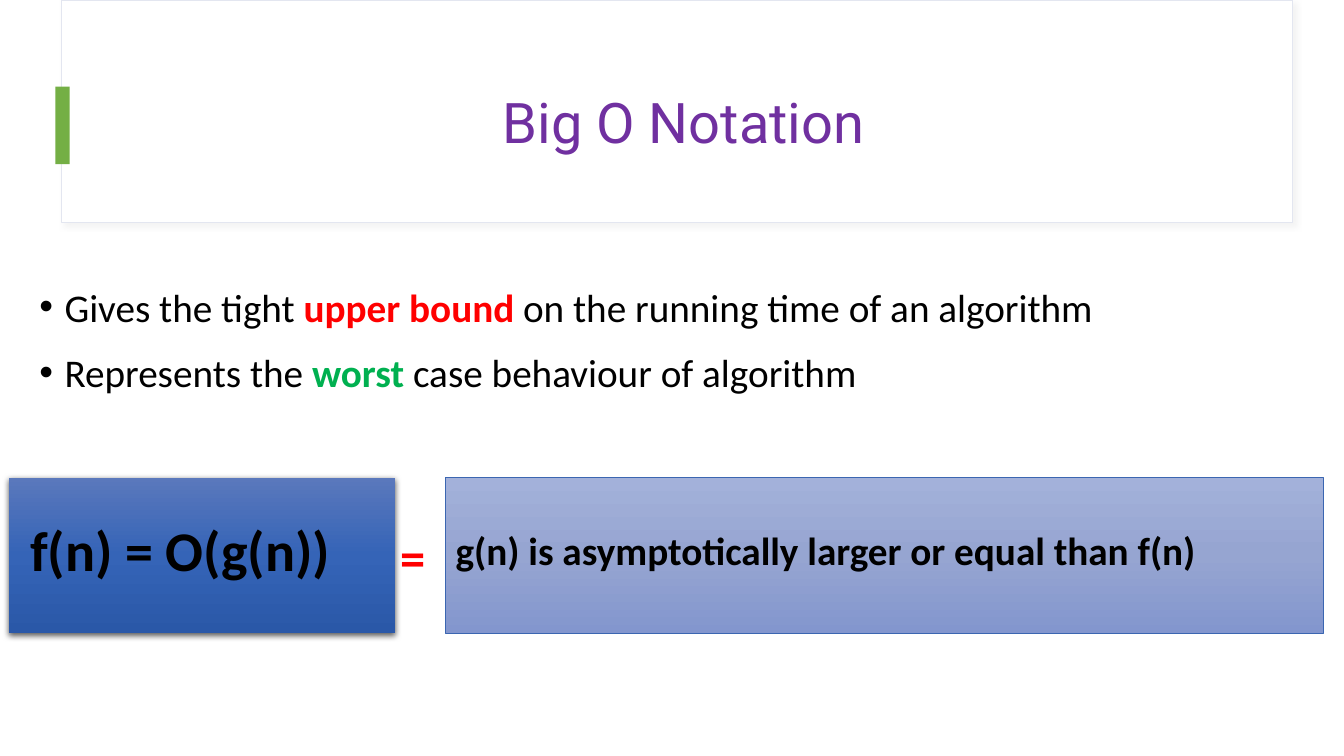
from dataclasses import dataclass

from lxml import etree
from pptx import Presentation
from pptx.dml.color import RGBColor
from pptx.enum.shapes import MSO_SHAPE
from pptx.enum.text import MSO_ANCHOR, MSO_AUTO_SIZE, PP_ALIGN
from pptx.oxml.ns import qn
from pptx.util import Inches, Pt

RECTANGLE = MSO_SHAPE.RECTANGLE
MIDDLE = MSO_ANCHOR.MIDDLE
NO_FIT = MSO_AUTO_SIZE.NONE
CENTER = PP_ALIGN.CENTER


@dataclass(frozen=True)
class Theme:
    heading_font: str = "Roboto"
    body_font: str = "Calibri"
    large: int = 40
    sign: int = 36
    body: int = 28
    white: str = "FFFFFF"
    black: str = "000000"
    purple: str = "7030A0"
    red: str = "FF0000"
    green: str = "00B050"
    accent: str = "74AF45"
    frame: str = "E3E6F0"
    frame_shadow: str = "D9D9D9"
    pale_edge: str = "3B66B1"
    pale_blues: tuple = ("A3B1DA", "96A5D1", "8396CE")
    deep_blues: tuple = ("5A78BC", "3564B7", "2A58A8")


THEME = Theme()


def set_font(font, name, size, color, bold=False):
    font.name = name
    font.size = Pt(size)
    font.bold = bold
    font.color.rgb = RGBColor.from_string(color)


def add_color(parent, color):
    return etree.SubElement(parent, qn("a:srgbClr"), val=color)


def add_panel(page, left, top, width, height, fill, edge=None, edge_width=0.75):
    panel = page.shapes.add_shape(
        RECTANGLE, Inches(left), Inches(top), Inches(width), Inches(height))
    panel.shadow.inherit = False
    if isinstance(fill, str):
        panel.fill.solid()
        panel.fill.fore_color.rgb = RGBColor.from_string(fill)
    else:
        panel.fill.gradient()
        panel.fill.gradient_angle = 270
        stops = panel.element.spPr.find(".//" + qn("a:gsLst"))
        for stop in list(stops):
            stops.remove(stop)
        for index, color in enumerate(fill):
            position = str(index * 100000 // (len(fill) - 1))
            add_color(etree.SubElement(stops, qn("a:gs"), pos=position), color)
    if edge:
        panel.line.color.rgb = RGBColor.from_string(edge)
        panel.line.width = Pt(edge_width)
    else:
        panel.line.fill.background()
    return panel


def add_shadow(panel, color, opacity, blur, distance, angle):
    effects = panel.element.spPr.find(qn("a:effectLst"))
    shadow = etree.SubElement(
        effects, qn("a:outerShdw"), blurRad=str(Pt(blur)), dist=str(Pt(distance)),
        dir=str(angle * 60000), algn="ctr", rotWithShape="0")
    etree.SubElement(add_color(shadow, color), qn("a:alpha"), val=str(opacity * 1000))


def place(box, left, top, width, height):
    box.left, box.top = Inches(left), Inches(top)
    box.width, box.height = Inches(width), Inches(height)


def add_label(page, left, top, width, height, text, size, color):
    box = page.shapes.add_textbox(
        Inches(left), Inches(top), Inches(width), Inches(height))
    box.text_frame.word_wrap = True
    para = box.text_frame.paragraphs[0]
    para.text = text
    set_font(para.font, THEME.body_font, size, color, True)


def build_header(page, left, top, width, height):
    frame = add_panel(page, left, top, width, height, THEME.white, THEME.frame)
    add_shadow(frame, THEME.frame_shadow, 30, 4, 3, 45)
    add_panel(page, left - 0.06, top + 0.86, 0.14, 0.77, THEME.accent)
    title = page.shapes.title
    page.shapes.element.append(title.element)
    place(title, left + 0.61, top + 0.6, width - 1.09, 1.29)
    title.text_frame.auto_size = NO_FIT
    title.text_frame.vertical_anchor = MIDDLE
    para = title.text_frame.paragraphs[0]
    para.text = "Big O Notation"
    para.alignment = CENTER
    para.line_spacing = 0.9
    set_font(para.font, THEME.heading_font, THEME.large, THEME.purple)


def build_points(page, left, top, width, height):
    points = (
        (("Gives the tight ", None), ("upper bound ", THEME.red),
         ("on the running time of an algorithm", None)),
        (("Represents the ", None), ("worst", THEME.green),
         (" case behaviour of algorithm", None)),
    )
    body = page.placeholders[1]
    place(body, left, top, width, height)
    frame = body.text_frame
    frame.auto_size = NO_FIT
    for index, point in enumerate(points):
        para = frame.add_paragraph() if index else frame.paragraphs[0]
        properties = para._p.get_or_add_pPr()
        properties.set("marL", str(Inches(0.25)))
        properties.set("indent", str(Inches(-0.25)))
        etree.SubElement(properties, qn("a:buFont"), typeface="Arial")
        etree.SubElement(properties, qn("a:buChar"), char="•")
        para.line_spacing = 1.1
        para.space_before = Pt(10 if index else 0)
        set_font(para.font, THEME.body_font, THEME.body, THEME.black)
        for text, highlight in point:
            span = para.add_run()
            span.text = text
            if highlight:
                span.font.bold = True
                span.font.color.rgb = RGBColor.from_string(highlight)


def build_definition(page, left, top, width, height):
    meaning_left = left + 4.33
    add_panel(page, meaning_left, top, width - 4.33, height,
              THEME.pale_blues, THEME.pale_edge, 0.5)
    formula = add_panel(page, left, top, 3.83, height, THEME.deep_blues)
    add_shadow(formula, THEME.black, 63, 4.5, 1.5, 90)
    add_label(page, left + 0.11, top + 0.33, 3.9, 0.77,
              "f(n) = O(g(n))", THEME.large, THEME.black)
    add_label(page, meaning_left, top + 0.43, 8.91, 0.57,
              "g(n) is asymptotically larger or equal than f(n)",
              THEME.body, THEME.black)
    add_label(page, left + 3.78, top + 0.43, 0.43, 0.71,
              "=", THEME.sign, THEME.red)


def main():
    deck = Presentation()
    deck.slide_width, deck.slide_height = Inches(13.33), Inches(7.5)
    page = deck.slides.add_slide(deck.slide_layouts[1])
    build_header(page, 0.61, 0, 12.21, 2.21)
    build_points(page, 0.29, 2.71, 12.29, 1.54)
    build_definition(page, 0.09, 4.74, 13.04, 1.54)
    deck.save("out.pptx")


if __name__ == "__main__":
    main()
